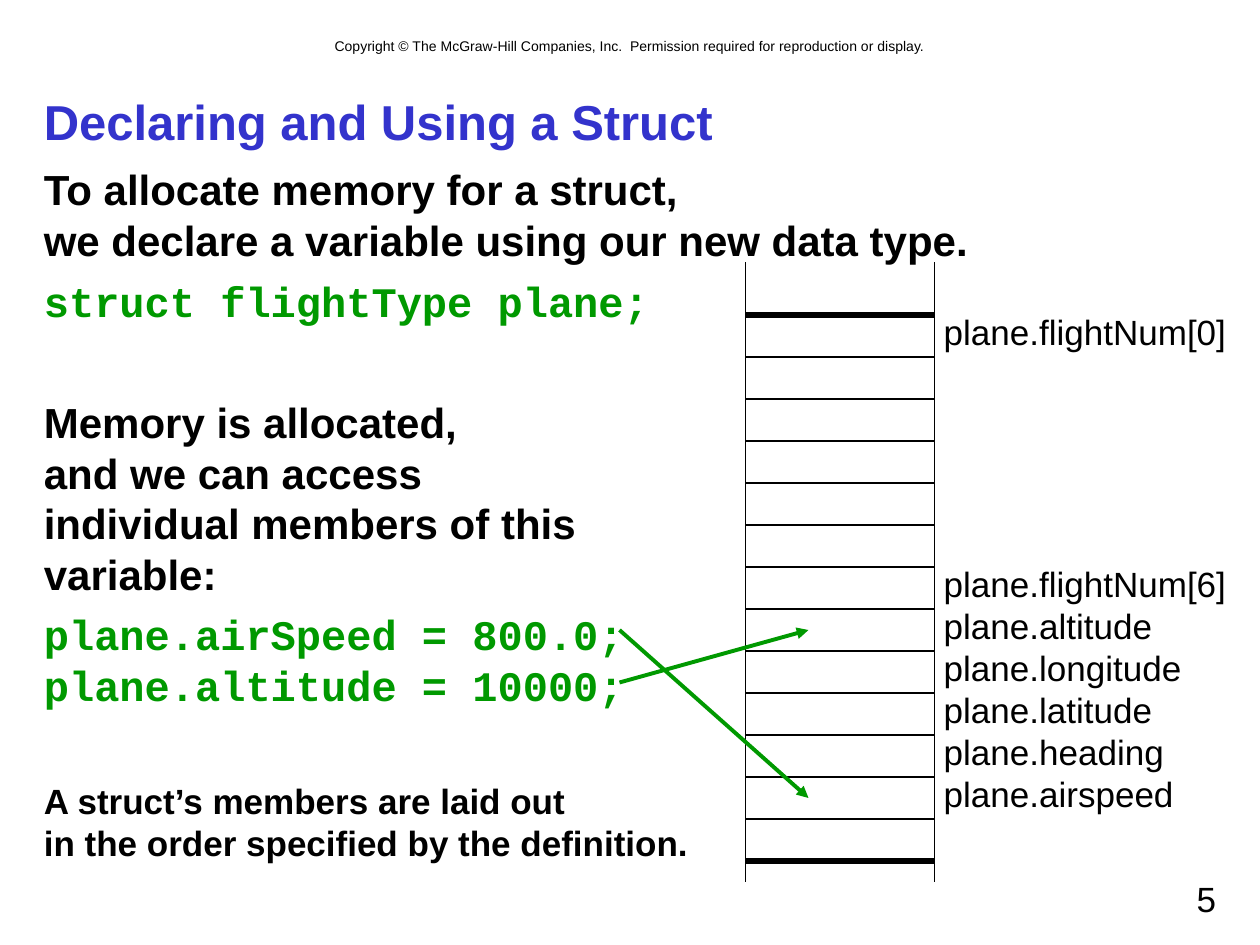
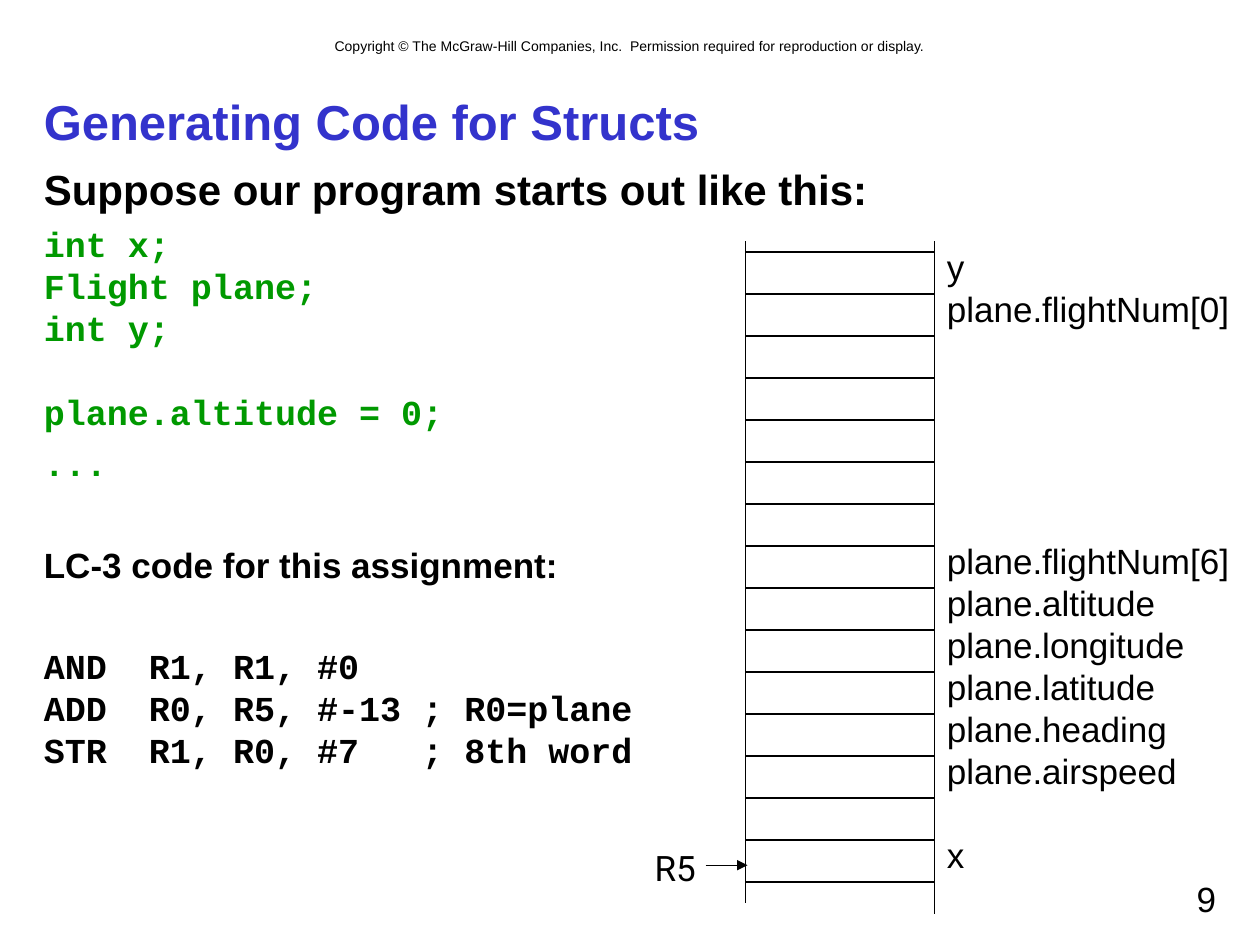
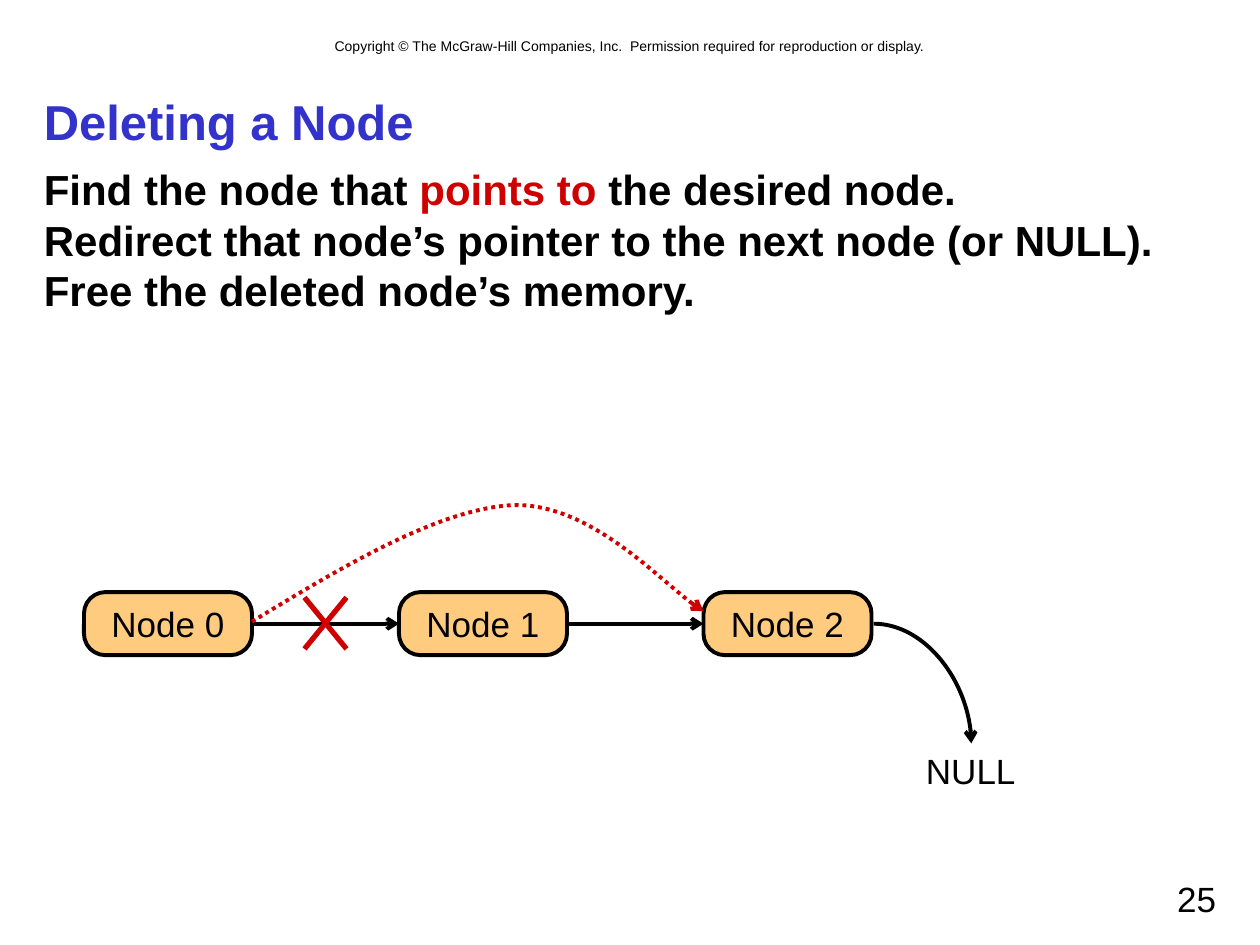
from dataclasses import dataclass

import lxml.etree
import pptx
import pptx.dml.color
import pptx.enum.dml
import pptx.enum.shapes
import pptx.enum.text
import pptx.oxml.ns
import pptx.util

ALIGN = pptx.enum.text.PP_ALIGN
ANCHOR = pptx.enum.text.MSO_ANCHOR
CONNECTOR = pptx.enum.shapes.MSO_CONNECTOR
qn = pptx.oxml.ns.qn

# The slide is a grid of 120 columns by 90 rows, twelve cells to the inch
COLUMNS, ROWS = 120, 90
CELL = pptx.util.Inches(1) / 12


@dataclass(frozen=True)
class Theme:
    black: str = "000000"
    title_blue: str = "3333CC"
    code_green: str = "009900"
    alert_red: str = "CE0000"
    node_orange: str = "FF9900"
    sans: str = "Arial"
    mono: str = "Courier New"
    register: str = "Roboto"
    copyright_size: int = 8
    label_size: int = 20
    body_size: int = 24
    title_size: int = 28
    leading: float = 1.2
    thin: float = 0.75
    medium: float = 2.25
    thick: float = 3


THEME = Theme()


@dataclass(frozen=True)
class Area:
    column: float
    row: float
    width: float
    height: float


@dataclass(frozen=True)
class Span:
    text: str
    color: str = THEME.black


@dataclass(frozen=True)
class Passage:
    spans: tuple[Span, ...]
    size: int = THEME.label_size
    font: str = THEME.sans
    bold: bool = False
    gap: float = 0


@dataclass(frozen=True)
class Line:
    start: tuple[float, float]
    end: tuple[float, float]
    color: str = THEME.black
    width: float = THEME.thin
    arrow: str = ""


@dataclass(frozen=True)
class Label:
    text: str
    skipped_rows: int = 0


@dataclass(frozen=True)
class Memory:
    top: int
    left_bottom: int
    right_bottom: int
    first_rule: int
    last_rule: int
    thick_ends: bool
    label_area: Area
    labels: tuple[Label, ...]


MEMORY_LEFT, MEMORY_RIGHT, MEMORY_STEP = 71, 89, 4
FIELDS = (Label("plane.flightNum[6]", 5), Label("plane.altitude"),
          Label("plane.longitude"), Label("plane.latitude"),
          Label("plane.heading"), Label("plane.airspeed"))


# Basic helpers
def grid(value: float) -> int:
    return round(value * CELL)


def rgb(color: str) -> pptx.dml.color.RGBColor:
    return pptx.dml.color.RGBColor.from_string(color)


def prose(text: str, size: int = THEME.body_size, gap: float = 0) -> Passage:
    return Passage((Span(text),), size, bold=True, gap=gap)


def code(text: str, size: int = THEME.body_size, gap: float = 0,
         color: str = THEME.code_green) -> Passage:
    return Passage((Span(text, color),), size, THEME.mono, True, gap)


def write(frame, passages: tuple[Passage, ...], align=ALIGN.LEFT,
          wrap: bool = True, anchor=ANCHOR.TOP) -> None:
    frame.word_wrap = wrap
    frame.vertical_anchor = anchor
    for index, passage in enumerate(passages):
        paragraph = frame.add_paragraph() if index else frame.paragraphs[0]
        paragraph.alignment = align
        paragraph.line_spacing = pptx.util.Pt(passage.size * THEME.leading)
        paragraph.space_before = pptx.util.Pt(passage.gap)
        for span in passage.spans:
            for number, text in enumerate(span.text.split("\n")):
                if number:
                    paragraph.add_line_break()
                run = paragraph.add_run()
                run.text = text
                run.font.name = passage.font
                run.font.size = pptx.util.Pt(passage.size)
                run.font.bold = passage.bold
                run.font.color.rgb = rgb(span.color)


def add_text(slide, area: Area, *passages: Passage, **options):
    box = slide.shapes.add_textbox(grid(area.column), grid(area.row),
                                   grid(area.width), grid(area.height))
    write(box.text_frame, passages, **options)
    return box


def style_line(shape, color: str, width: float, arrow: str = "") -> None:
    shape.line.color.rgb = rgb(color)
    shape.line.width = pptx.util.Pt(width)
    if arrow:
        outline = shape.line._get_or_add_ln()
        lxml.etree.SubElement(outline, qn("a:tailEnd"), type=arrow)


def add_line(slide, line: Line, kind=CONNECTOR.STRAIGHT):
    connector = slide.shapes.add_connector(
        kind, *(grid(value) for value in line.start + line.end))
    style_line(connector, line.color, line.width, line.arrow)
    lxml.etree.SubElement(connector._element.spPr, qn("a:effectLst"))
    return connector


# Parts shared by all slides
def start_slide(presentation, title: str, number: int,
                body: tuple[Passage, ...], body_height: int = 65):
    slide = presentation.slides.add_slide(presentation.slide_layouts[6])
    add_text(slide, Area(8, 3, 104, 2.9), Passage(
        (Span("Copyright © The McGraw-Hill Companies, Inc.  "
              "Permission required for reproduction or display."),),
        THEME.copyright_size), align=ALIGN.CENTER)
    add_text(slide, Area(3, 8, 114, 7), Passage(
        (Span(title, THEME.title_blue),), THEME.title_size, bold=True),
        anchor=ANCHOR.MIDDLE)
    add_text(slide, Area(3, 15, 114, body_height), *body)
    add_text(slide, Area(86, 83, 31, 5), Passage((Span(str(number)),)),
             align=ALIGN.RIGHT)
    return slide


def draw_memory(slide, memory: Memory) -> None:
    for column, bottom in ((MEMORY_LEFT, memory.left_bottom),
                           (MEMORY_RIGHT, memory.right_bottom)):
        add_line(slide, Line((column, memory.top), (column, bottom)))
    ends = (memory.first_rule, memory.last_rule)
    for row in range(memory.first_rule, memory.last_rule + 1, MEMORY_STEP):
        heavy = memory.thick_ends and row in ends
        add_line(slide, Line((MEMORY_LEFT, row), (MEMORY_RIGHT, row),
                             width=THEME.thick if heavy else THEME.thin))
    row_height = THEME.label_size * THEME.leading
    add_text(slide, memory.label_area, *(
        Passage((Span(label.text),), gap=label.skipped_rows * row_height)
        for label in memory.labels))


# Parts of the linked list
def add_node(slide, name: str, column: float):
    node = slide.shapes.add_shape(
        pptx.enum.shapes.MSO_SHAPE.ROUNDED_RECTANGLE,
        grid(column), grid(56.4), grid(16), grid(6))
    node.adjustments[0] = 0.34
    node.shadow.inherit = False
    node.fill.solid()
    node.fill.fore_color.rgb = rgb(THEME.node_orange)
    color = node._element.spPr.find(qn("a:solidFill"))[0]
    lxml.etree.SubElement(color, qn("a:alpha"), val="50000")
    style_line(node, THEME.black, THEME.medium)
    write(node.text_frame, (Passage((Span(name),)),), align=ALIGN.CENTER,
          wrap=False, anchor=ANCHOR.MIDDLE)
    return node


def add_bypass(slide, points: tuple[tuple[float, float], ...]) -> None:
    """Draw a dotted curve: a start point, then three points per Bézier."""
    start, *others = [(grid(x), grid(y)) for x, y in points]
    builder = slide.shapes.build_freeform(*start)
    builder.add_line_segments(others, close=False)
    curve = builder.convert_to_shape()
    outline = curve._element.find(".//" + qn("a:path"))
    segments = outline.findall(qn("a:lnTo"))
    for first in range(0, len(segments), 3):
        bezier = lxml.etree.SubElement(outline, qn("a:cubicBezTo"))
        for segment in segments[first:first + 3]:
            bezier.append(segment[0])
            outline.remove(segment)
    curve.shadow.inherit = False
    curve.fill.background()
    curve.line.dash_style = pptx.enum.dml.MSO_LINE.ROUND_DOT
    style_line(curve, THEME.alert_red, THEME.medium, "arrow")


# Slides
def declaring_slide(presentation) -> None:
    after_blank = 2 * 6 + THEME.body_size * THEME.leading
    slide = start_slide(presentation, "Declaring and Using a Struct", 5, (
        prose("To allocate memory for a struct,\n"
              "we declare a variable using our new data type."),
        code("struct flightType plane;", gap=6),
        prose("Memory is allocated,\nand we can access\n"
              "individual members of this\nvariable:", gap=after_blank),
        code("plane.airSpeed = 800.0;\nplane.altitude = 10000;", gap=6),
        prose("A struct’s members are laid out\n"
              "in the order specified by the definition.",
              THEME.label_size, after_blank - 1),
    ), body_height=70)
    draw_memory(slide, Memory(
        25, 84, 84, 30, 82, True, Area(88.7, 29, 31, 53.3),
        (Label("plane.flightNum[0]"), *FIELDS)))
    for start_row, end_row in ((60, 76), (65, 60)):
        add_line(slide, Line((59, start_row), (77, end_row),
                             THEME.code_green, THEME.medium, "triangle"))


def generating_slide(presentation) -> None:
    size = THEME.label_size
    blank = size * THEME.leading
    slide = start_slide(presentation, "Generating Code for Structs", 9, (
        prose("Suppose our program starts out like this:"),
        code("int x;\nFlight plane;\nint y;", size, 5),
        code("plane.altitude = 0;", size, blank),
        code("...", size, 5),
        prose("LC-3 code for this assignment:", size, blank + 10),
        code("AND  R1, R1, #0\nADD  R0, R5, #-13 ; R0=plane\n"
             "STR  R1, R0, #7   ; 8th word", size, blank + 10, THEME.black),
    ))
    draw_memory(slide, Memory(
        23, 86, 87, 24, 84, False, Area(89, 22.8, 31, 61.2),
        (Label("y"), Label("plane.flightNum[0]"), *FIELDS, Label("x", 1))))
    add_text(slide, Area(61.1, 80, 6.4, 5.3),
             Passage((Span("R5"),), font=THEME.register),
             align=ALIGN.CENTER, wrap=False)
    add_line(slide, Line((67.2, 82.4), (71.2, 82.4), arrow="triangle"))


def deleting_slide(presentation) -> None:
    slide = start_slide(presentation, "Deleting a Node", 25, (
        Passage((Span("Find the node that "),
                 Span("points to", THEME.alert_red),
                 Span(" the desired node.\n"
                      "Redirect that node’s pointer to the next node "
                      "(or NULL).\nFree the deleted node’s memory.")),
                THEME.body_size, bold=True),
    ))
    nodes = [add_node(slide, f"Node {index}", column)
             for index, column in enumerate((8, 38, 67))]
    for source, target in zip(nodes, nodes[1:]):
        link = add_line(slide, Line((0, 0), (1, 1), width=THEME.medium,
                                    arrow="arrow"))
        link.begin_connect(source, 3)
        link.end_connect(target, 1)

    # The last node points down to NULL
    add_text(slide, Area(87, 70.8, 10.9, 5.3), Passage((Span("NULL"),)),
             align=ALIGN.CENTER, wrap=False)
    bend = add_line(slide, Line((83.2, 59.4), (92.5, 70.8),
                                width=THEME.medium, arrow="arrow"),
                    CONNECTOR.CURVE)
    bend._element.spPr.find(qn("a:prstGeom")).set("prst", "curvedConnector2")

    # The removed link is crossed out and bypassed
    for start, end in (((33, 56.9), (29, 61.8)), ((29, 56.9), (33, 61.8))):
        add_line(slide, Line(start, end, THEME.alert_red, THEME.thick))
    add_bypass(slide, ((24, 59.2), (32.9, 53.8), (41.9, 48.4), (49, 48.1),
                       (56.2, 48), (64, 56.5), (67, 58.2)))


def main() -> None:
    presentation = pptx.Presentation()
    presentation.slide_width = grid(COLUMNS)
    presentation.slide_height = grid(ROWS)
    declaring_slide(presentation)
    generating_slide(presentation)
    deleting_slide(presentation)
    presentation.save("out.pptx")


if __name__ == "__main__":
    main()
